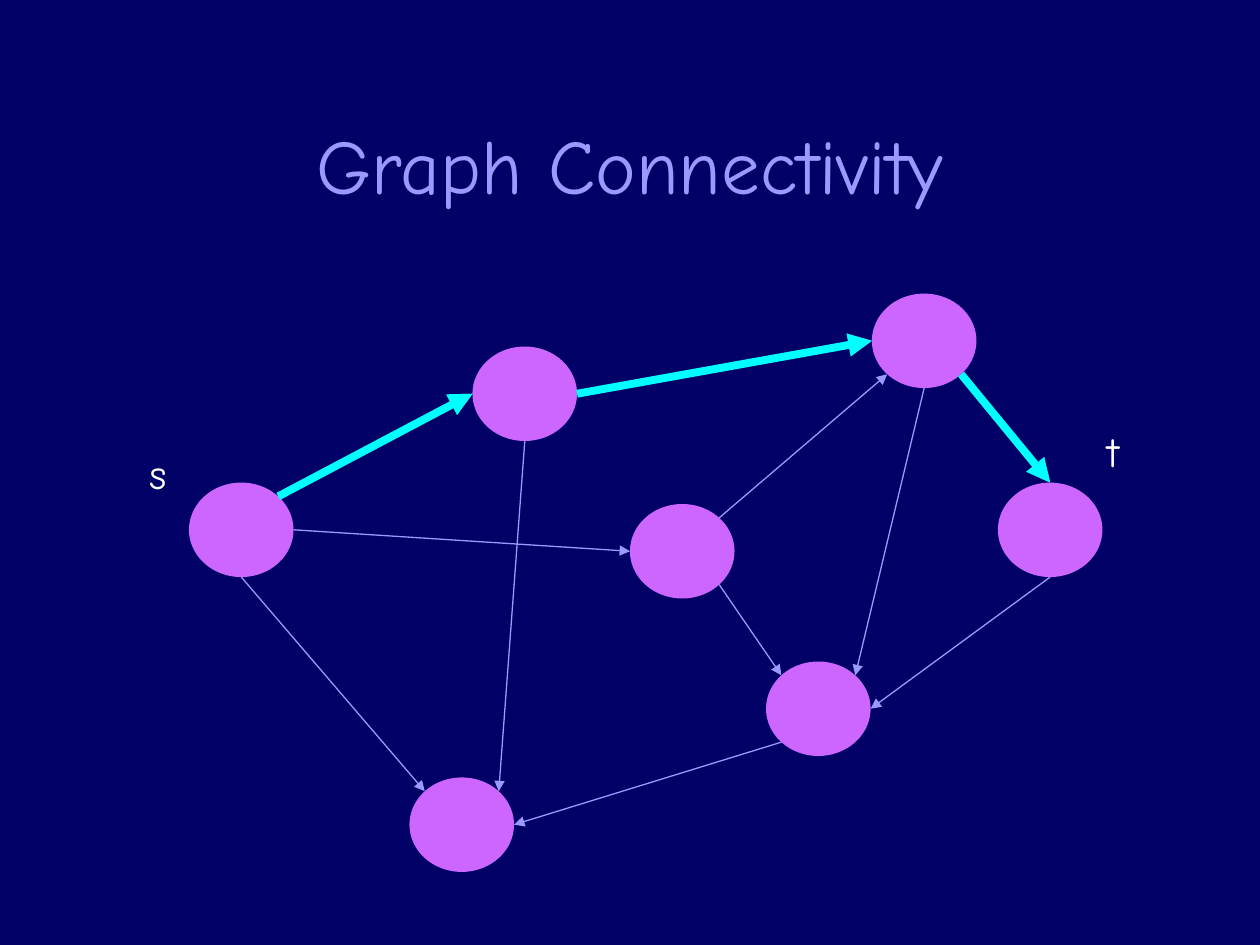
from math import sqrt

from lxml import etree
from pptx import Presentation
from pptx import util as u
from pptx.dml.color import RGBColor
from pptx.enum import shapes, text
from pptx.oxml import ns

COLORS = {
    "background": "000066",
    "title": "9999FF",
    "node": "CC66FF",
    "edge": "9999FF",
    "path": "00FFFF",
    "label": "FFFFFF",
}
FONT = "Comic Neue"
NODE_WIDTH, NODE_HEIGHT = 0.83, 0.75
NODES = {
    "s": (1.5, 3.83),
    "upper right": (6.92, 2.33),
    "centre": (5, 4),
    "lower left": (3.25, 6.17),
    "upper left": (3.75, 2.75),
    "lower right": (6.08, 5.25),
    "t": (7.92, 3.83),
}
DIAGONAL = 1 / sqrt(2)
SITES = {
    "N": (0, -1),
    "NE": (DIAGONAL, -DIAGONAL),
    "E": (1, 0),
    "SE": (DIAGONAL, DIAGONAL),
    "S": (0, 1),
    "SW": (-DIAGONAL, DIAGONAL),
    "W": (-1, 0),
    "NW": (-DIAGONAL, -DIAGONAL),
}
PATH = [
    ("s", "NE", "upper left", "W"),
    ("upper left", "E", "upper right", "W"),
    ("upper right", "SE", "t", "N"),
]
OTHER_EDGES = [
    ("s", "S", "lower left", "NW"),
    ("upper left", "S", "lower left", "NE"),
    ("s", "E", "centre", "W"),
    ("centre", "NE", "upper right", "SW"),
    ("upper right", "S", "lower right", "NE"),
    ("lower right", "SW", "lower left", "E"),
    ("centre", "SE", "lower right", "NW"),
    ("t", "S", "lower right", "E"),
]


def color(name):
    """Return the named palette colour."""
    return RGBColor.from_string(COLORS[name])


def add_label(slide, words, place, size, color_name):
    """Add centred text in a box given as left, top, width and height."""
    label = slide.shapes.add_textbox(*map(u.Inches, place))
    frame = label.text_frame
    frame.word_wrap = True
    frame.vertical_anchor = text.MSO_ANCHOR.MIDDLE
    frame.text = words
    paragraph = frame.paragraphs[0]
    paragraph.alignment = text.PP_ALIGN.CENTER
    font = paragraph.runs[0].font
    font.name = FONT
    font.size = u.Pt(size)
    font.color.rgb = color(color_name)


def add_node(slide, left, top):
    """Add one graph node."""
    node = slide.shapes.add_shape(
        shapes.MSO_SHAPE.OVAL,
        *map(u.Inches, (left, top, NODE_WIDTH, NODE_HEIGHT)),
    )
    node.shadow.inherit = False
    node.fill.solid()
    node.fill.fore_color.rgb = color("node")
    node.line.fill.background()


def site_point(node_name, site):
    """Return the point on a node's rim in the given compass direction."""
    left, top = NODES[node_name]
    across, down = SITES[site]
    return (
        u.Inches(left + NODE_WIDTH / 2 * (1 + across)),
        u.Inches(top + NODE_HEIGHT / 2 * (1 + down)),
    )


def add_edge(slide, edge, color_name, width):
    """Add an arrow between the rims of two nodes."""
    source, source_site, target, target_site = edge
    arrow = slide.shapes.add_connector(
        shapes.MSO_CONNECTOR.STRAIGHT,
        *site_point(source, source_site),
        *site_point(target, target_site),
    )
    arrow.line.color.rgb = color(color_name)
    arrow.line.width = u.Pt(width)
    etree.SubElement(arrow.line._get_or_add_ln(), ns.qn("a:tailEnd"), type="triangle")
    etree.SubElement(arrow._element.spPr, ns.qn("a:effectLst"))


def main():
    """Build the graph connectivity slide."""
    deck = Presentation()
    deck.slide_width, deck.slide_height = u.Inches(10), u.Inches(7.5)
    slide = deck.slides.add_slide(deck.slide_layouts[6])
    slide.background.fill.solid()
    slide.background.fill.fore_color.rgb = color("background")

    add_label(slide, "Graph Connectivity", (0.75, 0.67, 8.5, 1.25), 44, "title")
    for position in NODES.values():
        add_node(slide, *position)
    for edge in PATH + OTHER_EDGES:
        add_edge(slide, edge, "edge", 0.75)
    for edge in PATH:
        add_edge(slide, edge, "path", 4.5)
    add_label(slide, "s", (0.92, 3.5, 0.67, 0.5), 24, "label")
    add_label(slide, "t", (8.5, 3.33, 0.67, 0.5), 24, "label")
    deck.save("out.pptx")


if __name__ == "__main__":
    main()
